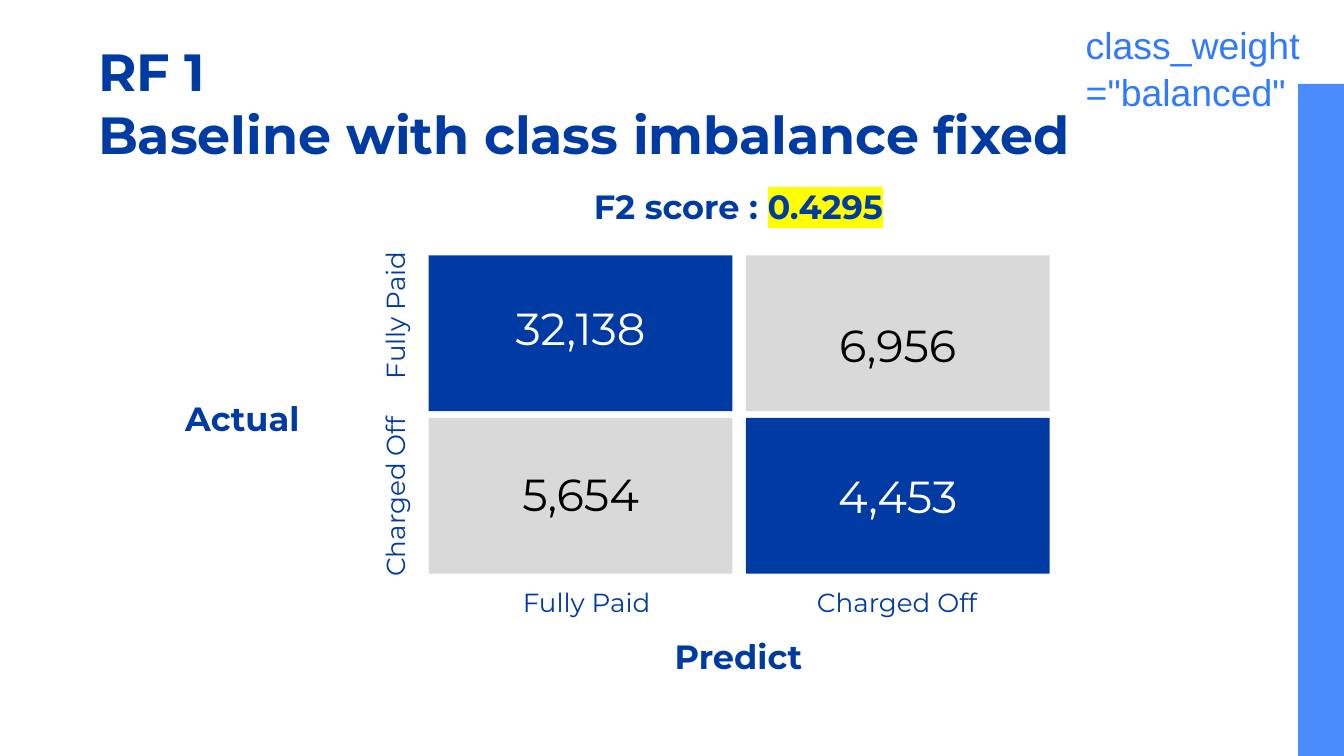
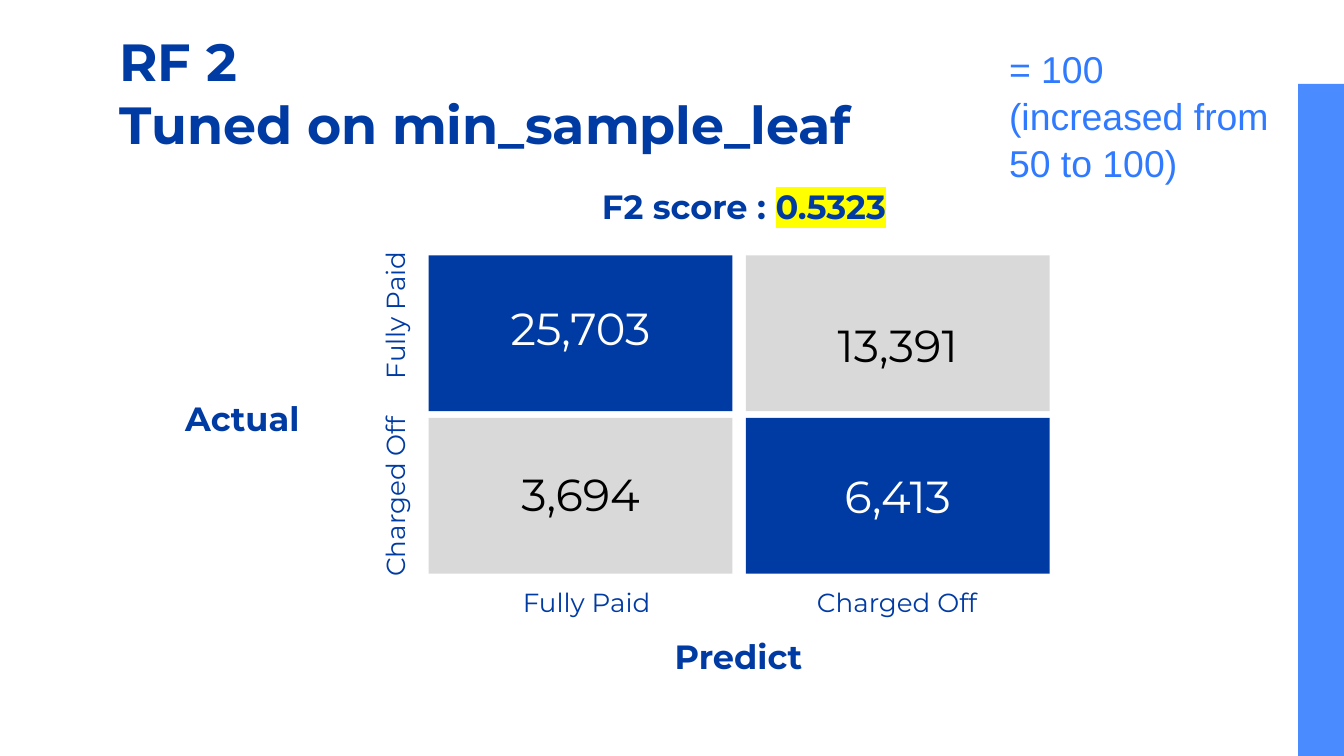
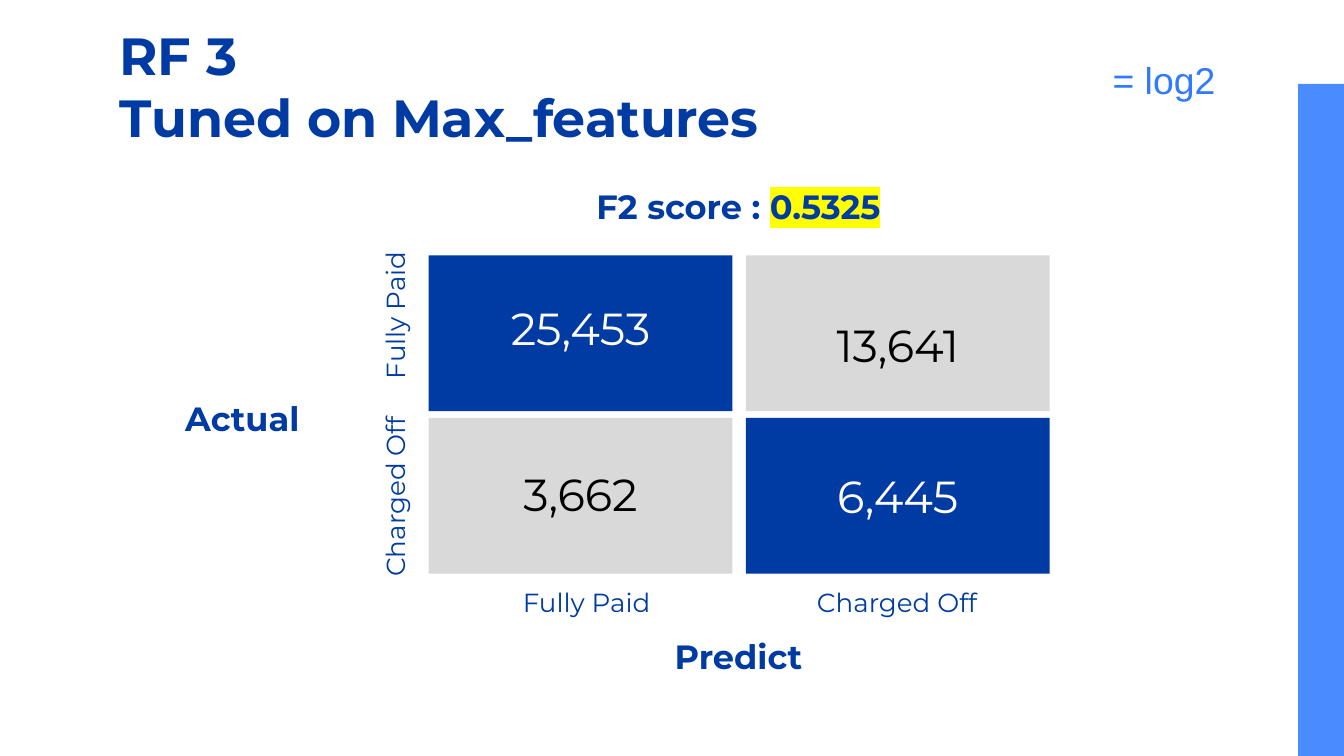
import pptx
import pptx.util
import pptx.dml.color
import pptx.enum.shapes
import pptx.enum.text
import pptx.oxml.ns
from lxml import etree

RGBColor = pptx.dml.color.RGBColor
NAVY = RGBColor(0x00, 0x3B, 0xA3)
BAND_BLUE = RGBColor(0x4A, 0x8C, 0xFF)
NOTE_BLUE = RGBColor(0x2F, 0x7A, 0xFF)
GREY = RGBColor(0xD9, 0xD9, 0xD9)
WHITE = RGBColor(0xFF, 0xFF, 0xFF)
BLACK = RGBColor(0x00, 0x00, 0x00)
HIGHLIGHT = "FFFF00"

ALIGN = pptx.enum.text.PP_ALIGN
ANCHOR = pptx.enum.text.MSO_ANCHOR
TITLE_ONLY = 5
GRID_COLUMNS = 100  # square grid: a row is as high as a column is wide

# Confusion matrix, in grid units
MATRIX_LEFT, MATRIX_TOP = 31.9, 19
CELL_WIDTH, CELL_HEIGHT = 22.6, 11.6
COLUMN_STEP, ROW_STEP = 23.6, 12.1
VALUE_WIDTH, VALUE_HEIGHT = 19.3, 10.8
LABEL_WIDTH, LABEL_HEIGHT = 16.5, 3.7
VALUE_TOPS = ((21.4, 20.2), (33.7, 33.9))
VALUE_ANCHORS = ((ANCHOR.TOP, ANCHOR.MIDDLE), (ANCHOR.TOP, ANCHOR.TOP))
CLASSES = ("Fully Paid", "Charged Off")
PREDICTED_LEFTS = (35.4, 58.5)
ACTUAL_TOPS = (21.6, 35.1)

# title and its place, score and its place, counts by row, note and its place
MODELS = (
    dict(title="RF 1 \vBaseline with class imbalance fixed", title_at=(6.3, 1.9, 89.6, 7.1),
         score="0.4295", score_at=(40.3, 12.8, 29.3, 4.5),
         counts=(("32,138", "6,956"), ("5,654", "4,453")),
         note=['class_weight="balanced"'], note_at=(79.8, 0.5, 18.9, 8.7)),
    dict(title="RF 2 \vTuned on min_sample_leaf", title_at=(7.9, 1.2, 84.3, 7.1),
         score="0.5323", score_at=(31.9, 12.8, 46.9, 4.5),
         counts=(("25,703", "13,391"), ("3,694", "6,413")),
         note=["= 100", "(increased from", "50 to 100)"], note_at=(74.1, 2.3, 22, 12)),
    dict(title="RF 3 \vTuned on Max_features", title_at=(7.9, 0.7, 84.3, 7.1),
         score="0.5325", score_at=(40.3, 12.8, 29.3, 4.5),
         counts=(("25,453", "13,641"), ("3,662", "6,445")),
         note=["= log2"], note_at=(81.8, 3.1, 14, 5.4)),
)


class Deck:
    """Holds the presentation, its style and the current slide."""

    def __init__(self):
        self.presentation = pptx.Presentation()
        self.presentation.slide_width = pptx.util.Inches(10)
        self.presentation.slide_height = pptx.util.Inches(5.625)
        self.unit = self.presentation.slide_width / GRID_COLUMNS
        self.layout = self.presentation.slide_layouts[TITLE_ONLY]
        self.slide = None

    def place(self, at):
        return [round(length * self.unit) for length in at]

    def format_frame(self, frame, size, color, bold=False, font="Montserrat",
                     align=ALIGN.CENTER, anchor=ANCHOR.TOP, line_spacing=1.0):
        frame.word_wrap = True
        frame.auto_size = pptx.enum.text.MSO_AUTO_SIZE.NONE
        frame.vertical_anchor = anchor
        frame.margin_left = frame.margin_right = pptx.util.Inches(0.1)
        frame.margin_top = frame.margin_bottom = pptx.util.Inches(0.1)
        for paragraph in frame.paragraphs:
            paragraph.alignment = align
            paragraph.line_spacing = line_spacing
            for run in paragraph.runs:
                run.font.name = font
                run.font.size = pptx.util.Pt(size)
                run.font.bold = bold
                run.font.color.rgb = color

    def add_slide(self, title, at):
        self.slide = self.presentation.slides.add_slide(self.layout)
        shape = self.slide.shapes.title
        shape.left, shape.top, shape.width, shape.height = self.place(at)
        shape.text_frame.text = title
        self.format_frame(shape.text_frame, 28, NAVY, bold=True, align=ALIGN.LEFT)

    def add_block(self, at, color):
        shape = self.slide.shapes.add_shape(
            pptx.enum.shapes.MSO_SHAPE.RECTANGLE, *self.place(at))
        shape.shadow.inherit = False
        shape.fill.solid()
        shape.fill.fore_color.rgb = color
        shape.line.fill.background()
        return shape

    def add_layout_band(self):
        """Move the side band to the layout, so that all slides share it."""
        band = self.add_block((96.6, 6.25, 3.4, 50), BAND_BLUE)
        self.layout.placeholders[0].element.addprevious(band.element)

    def add_text(self, text, at, size, color, rotation=0, **style):
        shape = self.slide.shapes.add_textbox(*self.place(at))
        shape.rotation = rotation
        shape.text_frame.text = text
        self.format_frame(shape.text_frame, size, color, **style)
        return shape

    def add_score(self, score, at):
        frame = self.add_text("F2 score : ", at, 18, NAVY).text_frame
        run = frame.paragraphs[0].add_run()
        run.text = score
        self.format_frame(frame, 18, NAVY, bold=True)
        qn = pptx.oxml.ns.qn
        highlight = etree.Element(qn("a:highlight"))
        etree.SubElement(highlight, qn("a:srgbClr"), val=HIGHLIGHT)
        run.font.fill  # the highlight follows the text fill
        run.font._element.find(qn("a:solidFill")).addnext(highlight) if hasattr(
            run.font, "_element") else run._r.rPr.find(qn("a:solidFill")).addnext(highlight)

    def add_matrix(self, counts):
        # Cells and counts: the main diagonal holds the correct predictions
        for row, row_counts in enumerate(counts):
            for column, count in enumerate(row_counts):
                correct = row == column
                left = MATRIX_LEFT + column * COLUMN_STEP
                self.add_block((left, MATRIX_TOP + row * ROW_STEP, CELL_WIDTH, CELL_HEIGHT),
                               NAVY if correct else GREY)
                self.add_text(count,
                              (left + (CELL_WIDTH - VALUE_WIDTH) / 2, VALUE_TOPS[row][column],
                               VALUE_WIDTH, VALUE_HEIGHT),
                              24, WHITE if correct else BLACK,
                              anchor=VALUE_ANCHORS[row][column])
        # Class labels on both axes
        for name, left, top in zip(CLASSES, PREDICTED_LEFTS, ACTUAL_TOPS):
            self.add_text(name, (left, 42.6, LABEL_WIDTH, LABEL_HEIGHT), 14, NAVY)
            self.add_text(name, (20.8, top, LABEL_WIDTH, LABEL_HEIGHT), 14, NAVY, rotation=270)
        # Axis titles
        self.add_text("Predict", (40.3, 46.3, 29.3, 4.5), 18, NAVY, bold=True)
        self.add_text("Actual", (12.8, 28.6, 16.5, 4.5), 18, NAVY, bold=True, align=ALIGN.LEFT)

    def add_note(self, lines, at):
        self.add_text("\n".join(lines), at, 20, NOTE_BLUE, font="Arial",
                      align=ALIGN.LEFT, line_spacing=1.05)


def main():
    deck = Deck()
    for index, model in enumerate(MODELS):
        deck.add_slide(model["title"], model["title_at"])
        if index == 0:
            deck.add_layout_band()
        deck.add_score(model["score"], model["score_at"])
        deck.add_matrix(model["counts"])
        deck.add_note(model["note"], model["note_at"])
    deck.presentation.save("out.pptx")


if __name__ == "__main__":
    main()
